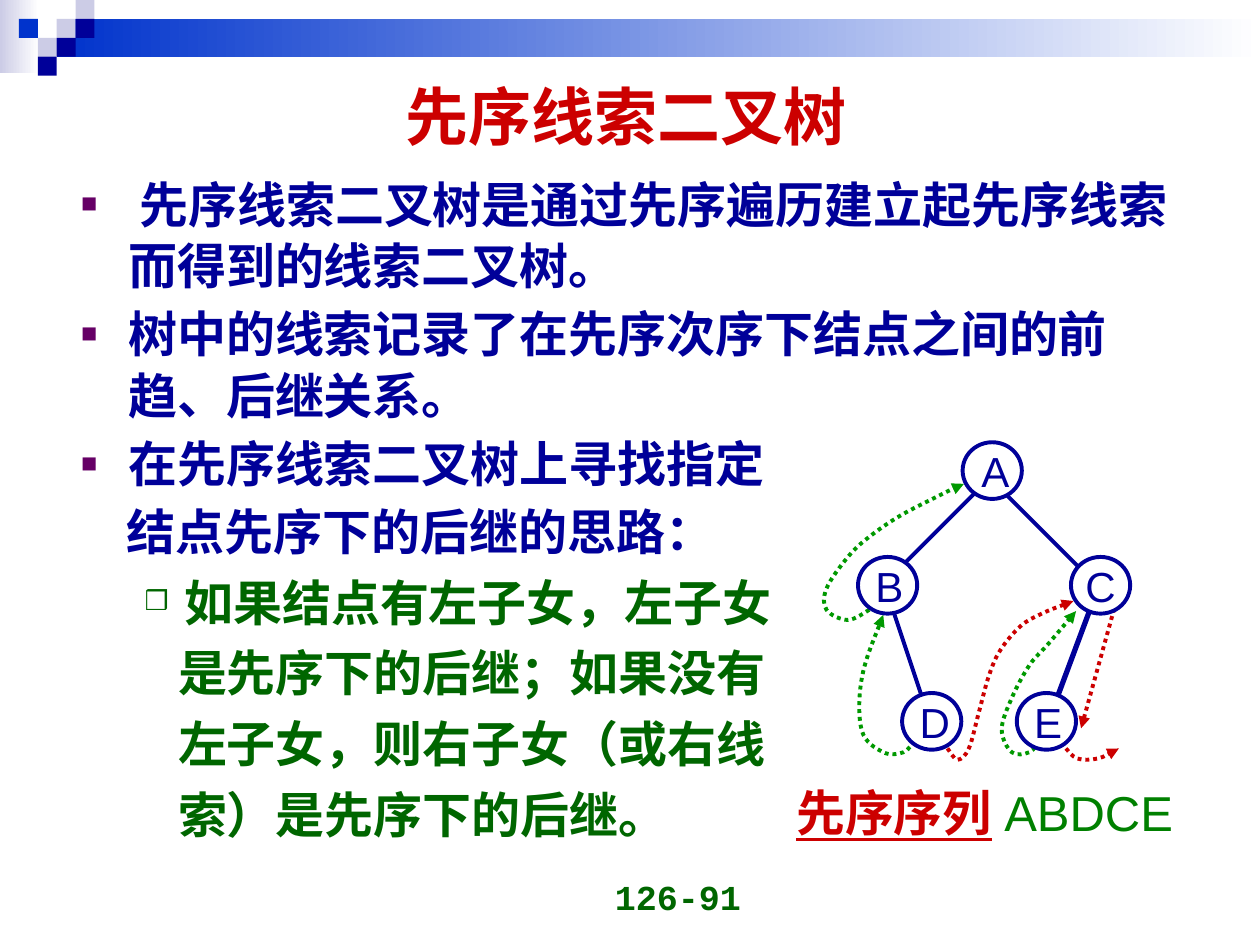
from typing import NamedTuple

from pptx import Presentation
from pptx.dml.color import RGBColor
from pptx.enum.dml import MSO_LINE
from pptx.enum.shapes import MSO_CONNECTOR, MSO_SHAPE
from pptx.enum.text import MSO_ANCHOR, PP_ALIGN
from pptx.oxml.ns import qn
from pptx.util import Inches, Pt
from lxml.etree import SubElement

COLORS = {"navy": "000099", "blue": "0033CC", "pale": "CCCCE6", "white": "FFFFFF",
          "red": "CC0000", "dark": "006600", "leaf": "009900", "green": "008000",
          "plum": "660066"}
COLS = 100  # columns of the slide's square grid; 75 rows
TILE = 1.5  # side of a corner tile, in cells


class Tile(NamedTuple):
    col: int
    row: int
    color: str


class Item(NamedTuple):
    text: str
    color: str
    left: float
    hang: float
    gap: float
    mark: str = ""
    tint: str = ""
    font: str = "Times New Roman"


class Node(NamedTuple):
    name: str
    x: float
    y: float
    inset: float = 0.3


class Edge(NamedTuple):
    start: tuple
    end: tuple
    width: float = 2.25


class Thread(NamedTuple):
    color: str
    points: list


TILES = [Tile(3, 1, "pale"), Tile(4, 0, "pale"), Tile(4, 1, "navy"), Tile(2, 2, "pale"),
         Tile(1, 1, "blue"), Tile(3, 2, "navy"), Tile(2, 3, "navy")]

ITEMS = [
    Item(" 先序线索二叉树是通过先序遍历建立起先序线索而得到的线索二叉树。",
         "navy", 3.75, -3.75, 0, "■", "plum"),
    Item("树中的线索记录了在先序次序下结点之间的前趋、后继关系。",
         "navy", 3.75, -3.75, 3.5, "■", "plum"),
    Item("在先序线索二叉树上寻找指定", "navy", 3.75, -3.75, 3.5, "■", "plum", "Arial"),
    Item("结点先序下的后继的思路：", "navy", 3.65, 0, 3.5, font="Arial"),
    Item("如果结点有左子女，左子女", "dark", 8.2, -3.15, 5.2, "❒", "dark"),
    Item("是先序下的后继；如果没有", "dark", 7.7, 0, 5.2),
    Item("左子女，则右子女（或右线", "dark", 7.7, 0, 5.2),
    Item("索）是先序下的后继。", "dark", 7.7, 0, 5.2),
]

NODES = [Node("A", 76.4, 35.1, 0.5), Node("B", 68.1, 44.2), Node("C", 85, 44.2, 0),
         Node("D", 71.6, 55, 0.5), Node("E", 80.7, 55)]

EDGES = [Edge((86.5, 48.4), (84, 55.1), 3), Edge((70.6, 47.6), (73.1, 55.1)),
         Edge((79, 38.4), (86.5, 45.9)), Edge((77.3, 39.2), (70.6, 45.9))]

THREADS = [
    Thread("red", [(84.6, 59.4), (85.5, 60.2), (87.1, 60.2), (88.8, 59.4)]),
    Thread("leaf", [(82.5, 58.8), (81.7, 59.7), (80.3, 59.7), (79.5, 57.9), (80.3, 55.4),
                    (81.7, 52.8), (83.2, 51.1), (85.4, 48.5)]),
    Thread("red", [(75.2, 59.4), (76, 60.3), (76.9, 59.4), (77.7, 56.5), (78.5, 53.6),
                   (79.4, 51.6), (81, 49.7), (82.7, 48.7), (85.2, 47.7)]),
    Thread("leaf", [(69, 48.4), (67.3, 49.2), (65.6, 48.4), (65.6, 46.7), (67.3, 44.2),
                    (69, 42.6), (71.5, 40.9), (74.8, 39.2), (76.5, 38.4)]),
    Thread("leaf", [(72.6, 58.8), (71.7, 59.7), (70.1, 59.7), (68.4, 58), (68.4, 53.8),
                    (70.1, 48.8)]),
    Thread("red", [(88.6, 47.7), (85.8, 57.8)]),
]

deck = Presentation()
deck.slide_width, deck.slide_height = Inches(10), Inches(7.5)
slide = deck.slides.add_slide(deck.slide_layouts[6])
shapes = slide.shapes


def cells(*spans: float) -> list:
    return [round(span * deck.slide_width / COLS) for span in spans]


def rgb(name: str) -> RGBColor:
    return RGBColor.from_string(COLORS[name])


def block(kind, color: str, *spot: float, fade: bool = False):
    shape = shapes.add_shape(kind, *cells(*spot))
    shape.shadow.inherit = False
    shape.line.fill.background()
    if fade:
        shape.fill.gradient()
        shape.fill.gradient_angle = 0
        for stop, tone in zip(shape.fill.gradient_stops, (color, "white")):
            stop.color.rgb = rgb(tone)
    else:
        shape.fill.solid()
        shape.fill.fore_color.rgb = rgb(color)
    return shape


def style(font, size: float, color: str, name: str = "Arial", bold: bool = False) -> None:
    font.size, font.name, font.bold = Pt(size), name, bold
    font.color.rgb = rgb(color)


def frame(*spot: float, anchor=MSO_ANCHOR.TOP):
    body = shapes.add_textbox(*cells(*spot)).text_frame
    body.word_wrap, body.vertical_anchor = True, anchor
    return body


def label(text: str, spot: tuple, size: float, color: str, name: str, align, anchor) -> None:
    body = frame(*spot, anchor=anchor)
    body.text = text
    body.paragraphs[0].alignment = align
    style(body.paragraphs[0].runs[0].font, size, color, name, True)


def bullet(para, item: Item) -> None:
    props = para._p.get_or_add_pPr()
    left, hang = cells(item.left, item.hang)
    for key, value in (("marL", left), ("indent", hang), ("hangingPunct", 0)):
        props.set(key, str(value))
    if item.mark:
        tint = SubElement(props, qn("a:buClr"))
        SubElement(tint, qn("a:srgbClr"), val=COLORS[item.tint])
        SubElement(props, qn("a:buSzPct"), val="55000")
        SubElement(props, qn("a:buFont"), typeface="Arial")
        SubElement(props, qn("a:buChar"), char=item.mark)
    else:
        SubElement(props, qn("a:buNone"))


def arrow(line) -> None:
    line.dash_style = MSO_LINE.ROUND_DOT
    SubElement(line._get_or_add_ln(), qn("a:tailEnd"), type="triangle")


def join(edge: Edge, color: str = "navy"):
    link = shapes.add_connector(MSO_CONNECTOR.STRAIGHT, *cells(*edge.start, *edge.end))
    link.line.color.rgb = rgb(color)
    link.line.width = Pt(edge.width)
    SubElement(link._element.spPr, qn("a:effectLst"))
    return link


def smooth(shape) -> None:
    """Turn the straight segments of an outline into Bezier curves."""
    spots = [(int(pt.get("x")), int(pt.get("y"))) for pt in shape._element.iter(qn("a:pt"))]
    ends = [spots[0], *spots, spots[-1]]
    parts = list(shape._element.iter(qn("a:lnTo")))
    for part, a, b, c, d in zip(parts, ends, ends[1:], ends[2:], ends[3:]):
        part.tag = qn("a:cubicBezTo")
        part.remove(part[0])
        near = [q + (r - p) / 6 for p, q, r in zip(a, b, c)]
        far = [q - (r - p) / 6 for p, q, r in zip(b, c, d)]
        for x, y in (near, far, c):
            SubElement(part, qn("a:pt"), x=str(round(x)), y=str(round(y)))


def thread(item: Thread) -> None:
    if len(item.points) == 2:
        arrow(join(Edge(*item.points), item.color).line)
        return
    first, *rest = [cells(*point) for point in item.points]
    pen = shapes.build_freeform(*first)
    pen.add_line_segments(rest, close=False)
    shape = pen.convert_to_shape()
    smooth(shape)
    shape.shadow.inherit = False
    shape.fill.background()
    shape.line.color.rgb, shape.line.width = rgb(item.color), Pt(2.25)
    arrow(shape.line)


def circle(node: Node) -> None:
    shape = block(MSO_SHAPE.OVAL, "white", node.x, node.y, 4.7, 4.5)
    shape.line.color.rgb, shape.line.width = rgb("navy"), Pt(2.25)
    body = shape.text_frame
    body.margin_right = body.margin_top = body.margin_bottom = 0
    body.margin_left = cells(node.inset)[0]
    body.word_wrap, body.vertical_anchor = False, MSO_ANCHOR.MIDDLE
    body.text = node.name
    body.paragraphs[0].alignment = PP_ALIGN.CENTER
    style(body.paragraphs[0].runs[0].font, 24, "navy")


# Banner
block(MSO_SHAPE.RECTANGLE, "pale", 0, 0, 3.1, 5.8, fade=True)
block(MSO_SHAPE.RECTANGLE, "blue", 3 * TILE, TILE, COLS - 3 * TILE, 2 * TILE, fade=True)
for tile in TILES:
    block(MSO_SHAPE.RECTANGLE, tile.color, tile.col * TILE, tile.row * TILE, TILE, TILE)

# Page number, body and title
label("126-91", (36.5, 68.3, 23.3, 5), 20, "dark", "Courier New",
      PP_ALIGN.RIGHT, MSO_ANCHOR.BOTTOM)
body = frame(5.45, 13.1, 90, 56.3)
for index, item in enumerate(ITEMS):
    para = body.add_paragraph() if index else body.paragraphs[0]
    para.text = item.text
    para.line_spacing, para.space_before = 1.05, Pt(item.gap)
    bullet(para, item)
    style(para.runs[0].font, 28, item.color, item.font, True)
label("先序线索二叉树", (4.7, 4.8, 90, 8.7), 36, "red", "Arial",
      PP_ALIGN.CENTER, MSO_ANCHOR.MIDDLE)

# Preorder sequence
para = frame(62.2, 61.1, 33.9, 6.4).paragraphs[0]
for text, size, color, strong in [("先序序列", 28, "red", True), (" ", 32, "navy", False),
                                  ("ABDCE", 28, "green", False)]:
    run = para.add_run()
    run.text = text
    style(run.font, size, color, bold=strong)
    run.font.underline = strong

# Threaded tree
for item in THREADS:
    thread(item)
for edge in EDGES:
    join(edge)
for node in NODES:
    circle(node)

deck.save("out.pptx")
